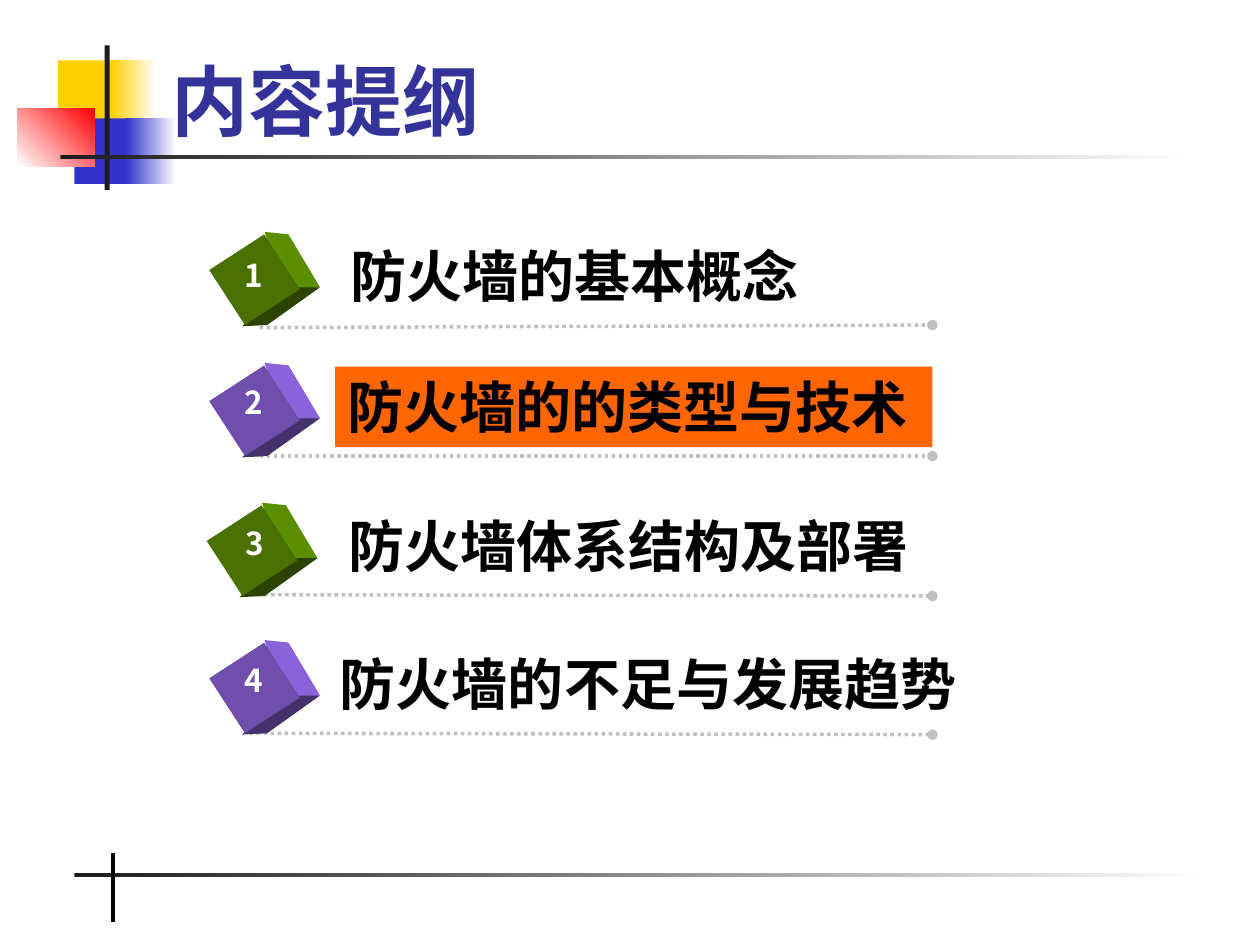
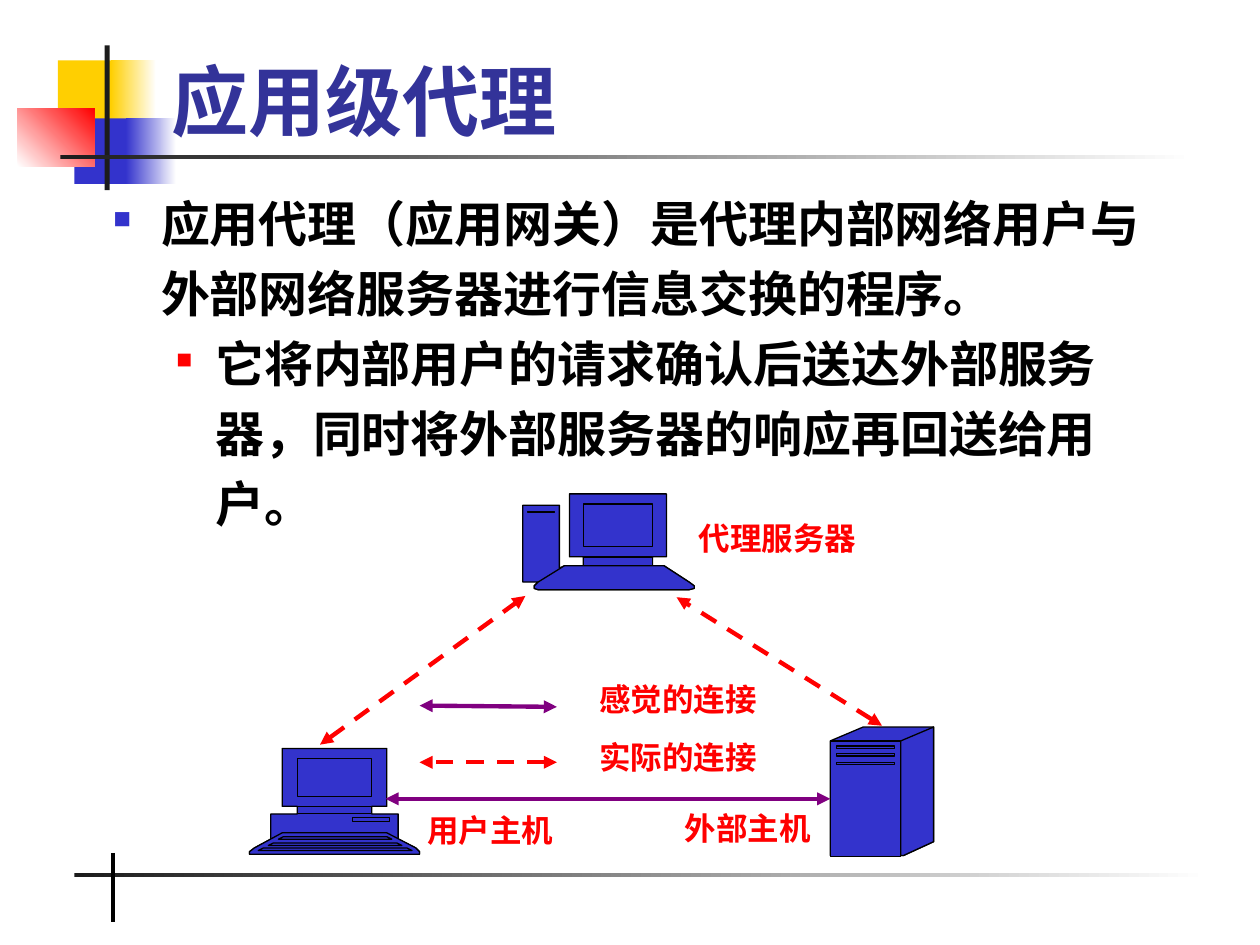
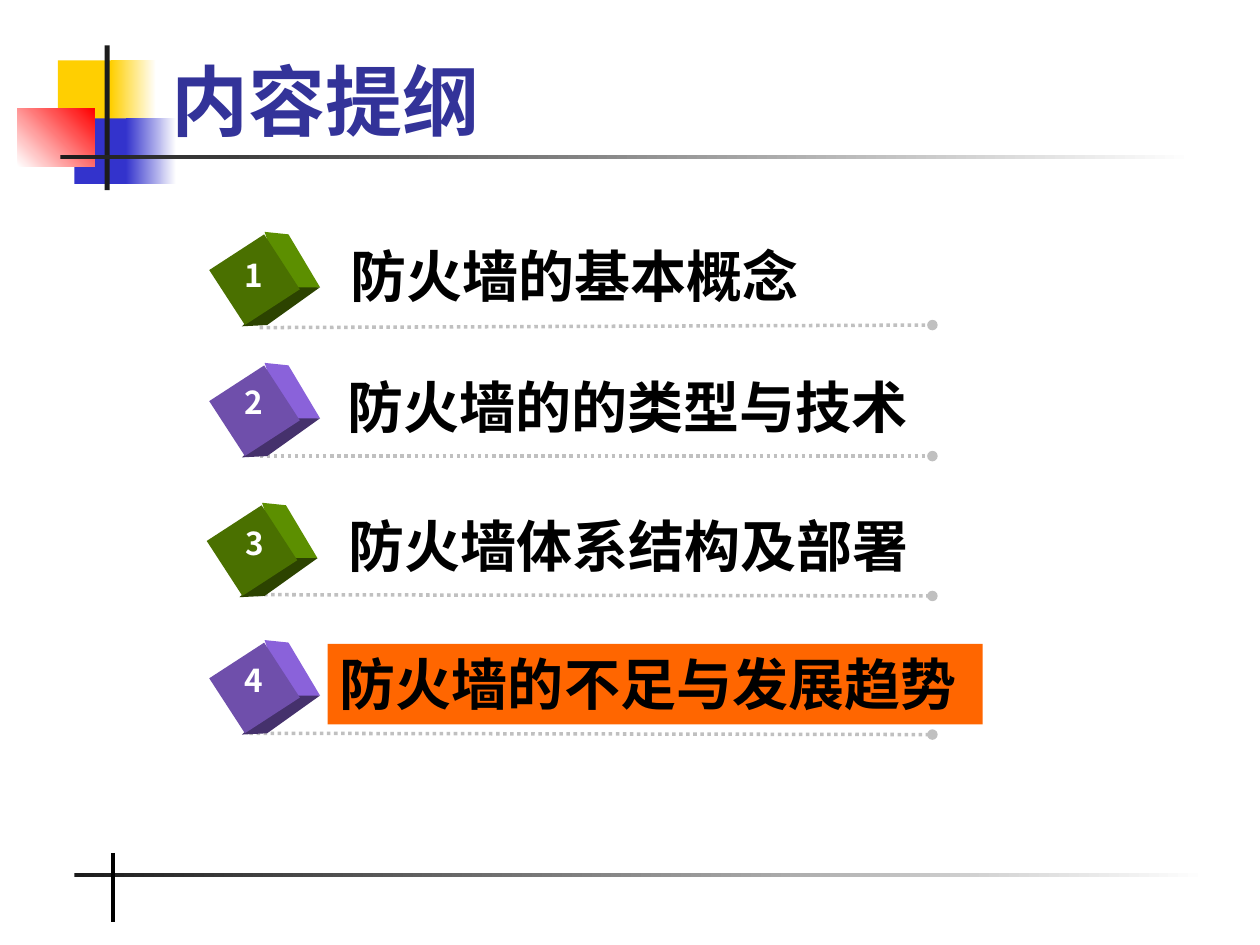
"""Firewall lecture: two outline slides and the application proxy diagram."""
from dataclasses import dataclass

from lxml import etree
from pptx import Presentation
from pptx.dml.color import RGBColor
from pptx.enum.dml import MSO_LINE
from pptx.enum.shapes import MSO_CONNECTOR, MSO_SHAPE
from pptx.enum.text import MSO_ANCHOR, PP_ALIGN
from pptx.oxml.ns import qn
from pptx.util import Inches, Pt

RECT = MSO_SHAPE.RECTANGLE
STRAIGHT = MSO_CONNECTOR.STRAIGHT
DOTS, DASH = MSO_LINE.ROUND_DOT, MSO_LINE.DASH
TOP, BOTTOM = MSO_ANCHOR.TOP, MSO_ANCHOR.BOTTOM
LEFT, CENTER = PP_ALIGN.LEFT, PP_ALIGN.CENTER
LEFT_SIDE = 1


@dataclass(frozen=True)
class Theme:
    """Colours, fonts and type sizes of the deck."""
    white: str = "FFFFFF"
    black: str = "000000"
    ink: str = "1C1C1C"
    yellow: str = "FFCF01"
    blue: str = "3333CC"
    red: str = "FF0000"
    purple: str = "800080"
    title: str = "333399"
    highlight: str = "FF6600"
    dots: str = "C0C0C0"
    green_cube: tuple = ("4A7000", "5C8F00", "2C4300")
    violet_cube: tuple = ("6F4FAB", "8A62DA", "45316C")
    cjk: str = "Noto Sans CJK SC"
    serif: str = "Times New Roman"
    label: str = "Karla"
    title_size: int = 44
    item_size: int = 32
    body_size: int = 28
    small_size: int = 18
    body_leading: int = 40


T = Theme()


def rgb(value):
    """Turn a hex string into a colour."""
    return RGBColor.from_string(value)


def child(parent, tag, **attrs):
    """Append an XML element with the given attributes."""
    element = etree.SubElement(parent, qn(tag))
    for key, value in attrs.items():
        element.set(key, str(value))
    return element


def add_run(p, text, size=T.small_size, font=T.cjk, color=T.black, bold=True):
    """Add a formatted run to a paragraph."""
    r = p.add_run()
    r.text = text
    r.font.size, r.font.name, r.font.bold = Pt(size), font, bold
    r.font.color.rgb = rgb(color)
    child(r.font._element, "a:ea", typeface=T.cjk)


class Deck:
    """Holds the presentation, its style and the current slide."""

    def __init__(self):
        """Start an empty 4:3 presentation."""
        self.prs = Presentation()
        self.prs.slide_width, self.prs.slide_height = Inches(10), Inches(7.5)
        self.s = None

    def paint(self, sp, fill, outline=None):
        """Set fill and outline of a shape; a colour pair makes a gradient."""
        sp.shadow.inherit = False
        if isinstance(fill, tuple):
            sp.fill.gradient()
            for stop, color in zip(sp.fill.gradient_stops, fill):
                stop.color.rgb = rgb(color)
        else:
            sp.fill.solid()
            sp.fill.fore_color.rgb = rgb(fill)
        if outline:
            sp.line.color.rgb = rgb(outline)
            sp.line.width = Pt(0.75)
        else:
            sp.line.fill.background()
        return sp

    def rect(self, x, y, w, h, fill, outline=None, angle=0, rotation=0):
        """Draw a rectangle."""
        sp = self.s.shapes.add_shape(RECT, Inches(x), Inches(y), Inches(w), Inches(h))
        self.paint(sp, fill, outline)
        if isinstance(fill, tuple):
            sp.fill.gradient_angle = angle
        sp.rotation = rotation
        return sp

    def polygon(self, points, fill, outline=None):
        """Draw a closed outline through the points."""
        start, *rest = [(Inches(x), Inches(y)) for x, y in points]
        fb = self.s.shapes.build_freeform(*start)
        fb.add_line_segments(rest, close=True)
        return self.paint(fb.convert_to_shape(), fill, outline)

    def line(self, start, end, color, width, dash=None, head=None, tail=None):
        """Draw a straight connector with optional line ends."""
        ends = [Inches(v) for v in (*start, *end)]
        cx = self.s.shapes.add_connector(STRAIGHT, *ends)
        cx.line.color.rgb, cx.line.width = rgb(color), Pt(width)
        if dash:
            cx.line.dash_style = dash
        ln = cx.line._get_or_add_ln()
        for tag, kind in (("a:headEnd", head), ("a:tailEnd", tail)):
            if kind:
                child(ln, tag, type=kind)
        child(cx._element.spPr, "a:effectLst")
        return cx

    def arrow(self, start, end, color, dash=None):
        """Draw a two-headed connection."""
        return self.line(start, end, color, 2.5, dash, "triangle", "triangle")

    def box(self, x, y, w, h, wrap=True, anchor=TOP, fill=None):
        """Add an empty text box and return its text frame."""
        sp = self.s.shapes.add_textbox(Inches(x), Inches(y), Inches(w), Inches(h))
        if fill:
            self.paint(sp, fill)
        tf = sp.text_frame
        tf.word_wrap, tf.vertical_anchor = wrap, anchor
        return tf

    def text(self, text, at, align=LEFT, wrap=True, anchor=TOP, fill=None, **style):
        """Add a one-paragraph text box."""
        p = self.box(*at, wrap, anchor, fill).paragraphs[0]
        p.alignment = align
        add_run(p, text, **style)

    def bullets(self, at, items):
        """Add bulleted text from (text, level, margin, hang, colour, percent)."""
        tf = self.box(*at)
        for i, (text, level, margin, hang, color, percent) in enumerate(items):
            p = tf.add_paragraph() if i else tf.paragraphs[0]
            p.level, p.line_spacing = level, Pt(T.body_leading)
            pPr = p._p.get_or_add_pPr()
            pPr.set("marL", str(Inches(margin)))
            pPr.set("indent", str(-Inches(hang)))
            pPr.set("hangingPunct", "0")
            child(child(pPr, "a:buClr"), "a:srgbClr", val=color)
            child(pPr, "a:buSzPct", val=percent * 1000)
            child(pPr, "a:buChar", char="■")
            add_run(p, text, T.body_size, T.serif)

    def slide(self, title):
        """Start a slide with the shared ornament, rules and title."""
        self.s = self.prs.slides.add_slide(self.prs.slide_layouts[6])
        self.rect(0.46, 0.48, 0.48, 0.52, T.yellow)
        self.rect(0.88, 0.48, 0.36, 0.52, (T.yellow, T.white))
        self.rect(0.59, 0.94, 0.46, 0.52, T.blue)
        self.rect(1, 0.94, 0.4, 0.52, (T.blue, T.white))
        self.rect(0.14, 0.86, 0.61, 0.46, (T.white, T.red), angle=45)
        self.rect(0.83, 0.36, 0.04, 1.15, T.ink)
        for x, y in ((0.48, 1.23), (0.59, 6.93)):
            self.rect(x, y, 9, 0.03, (T.ink, T.white))
        self.line((0.9, 6.77), (0.9, 7.32), T.black, 2.25)
        self.text(title, (1.26, 0.16, 8.52, 1.05), anchor=BOTTOM,
                  size=T.title_size, font=T.serif, color=T.title)

    def cube(self, cx, cy, colors):
        """Draw a tilted cube around a centre: side, base, then front face."""
        w, h = 0.52, 0.52
        front, side, base = colors
        side_face = ((0.09, -0.38), (0.28, -0.36), (0.53, 0.06), (0.25, 0.1))
        base_face = ((0.25, 0.06), (0.53, 0.06), (0.11, 0.36), (-0.09, 0.37))
        for face, color in ((side_face, side), (base_face, base)):
            self.polygon([(cx + dx, cy + dy) for dx, dy in face], color)
        self.rect(cx - w / 2 + 0.01, cy - h / 2, w, h, front, rotation=57)

    def outline_slide(self, current):
        """Build the outline with one highlighted item."""
        self.slide("内容提纲")
        for number, item in enumerate(OUTLINE, 1):
            text, text_at, cube_at, number_at, start, end_y = item
            self.line(start, (7.4, end_y), T.dots, 2, DOTS, tail="oval")
            self.cube(*cube_at, T.green_cube if number % 2 else T.violet_cube)
            self.text(str(number), (*number_at, 0.33, 0.4), CENTER, wrap=False,
                      color=T.white)
            self.text(text, text_at, size=T.item_size,
                      fill=T.highlight if number == current else None)

    def hardware(self, parts):
        """Draw parts from points or boxes and return the last one."""
        for part in parts:
            if isinstance(part[0], tuple):
                sp = self.polygon(part, T.blue, T.black)
            else:
                sp = self.rect(*part, T.blue, T.black)
        return sp

    def proxy_slide(self):
        """Build the application proxy slide."""
        self.slide("应用级代理")
        self.bullets((0.8, 1.4, 8.5, 4.5), PROXY_TEXT)
        for parts in (PROXY_PC, USER_PC, HOST_TOWER):
            tower = self.hardware(parts)
        self.hardware(HOST_SLOTS)
        self.arrow((2.54, 5.91), (4.17, 4.73), T.red, DASH)
        self.arrow((7, 5.76), (5.37, 4.74), T.red, DASH)
        felt = self.arrow((6.59, 6.34), (3.06, 6.34), T.purple)
        felt.begin_connect(tower, LEFT_SIDE)
        self.arrow((4.42, 5.61), (3.33, 5.6), T.purple)
        self.arrow((4.42, 6.05), (3.33, 6.05), T.red, DASH)
        for text, x, y, w in PROXY_LABELS:
            self.text(text, (x, y, w, 0.51), CENTER, font=T.label, color=T.red)


OUTLINE = (
    ("防火墙的基本概念", (2.68, 1.87, 4.73, 0.63), (2.01, 2.22), (1.84, 1.98),
     (2.06, 2.6), 2.58),
    ("防火墙的的类型与技术", (2.66, 2.91, 4.74, 0.64), (2.01, 3.26), (1.84, 2.99),
     (2.06, 3.62), 3.62),
    ("防火墙体系结构及部署", (2.67, 4.01, 4.88, 0.64), (1.99, 4.37), (1.85, 4.11),
     (2.04, 4.72), 4.73),
    ("防火墙的不足与发展趋势", (2.6, 5.11, 5.2, 0.64), (2.01, 5.46), (1.84, 5.2),
     (1.98, 5.82), 5.83),
)

PROXY_TEXT = (
    ("应用代理（应用网关）是代理内部网络用户与外部网络服务器进行信息交换的程序。",
     0, 0.38, 0.38, T.blue, 50),
    ("它将内部用户的请求确认后送达外部服务器，同时将外部服务器的响应再回送给用户。",
     1, 0.81, 0.31, T.red, 45),
)

PROXY_LABELS = (
    ("用户主机", 3.2, 6.39, 1.38),
    ("代理服务器", 5.21, 4.07, 1.92),
    ("感觉的连接", 4.42, 5.35, 1.92),
    ("实际的连接", 4.42, 5.81, 1.92),
    ("外部主机", 5.12, 6.37, 1.63),
)

PROXY_KEYBOARD = (
    (5.27, 4.49), (5.47, 4.62), (5.51, 4.65), (5.51, 4.67), (5.47, 4.68),
    (4.27, 4.68), (4.24, 4.67), (4.24, 4.65), (4.27, 4.62),
)
PROXY_PC = (
    (*PROXY_KEYBOARD, (4.15, 4.62), (4.15, 4.01), (4.44, 4.01), (4.44, 4.51),
     (4.48, 4.49), (4.63, 4.49), (4.63, 4.42), (4.52, 4.42), (4.52, 3.92),
     (5.29, 3.92), (5.29, 4.42), (5.18, 4.42), (5.18, 4.49)),
    (*PROXY_KEYBOARD, (4.48, 4.49)),
    (4.63, 4.42, 0.55, 0.07),
    (4.63, 4, 0.55, 0.34),
    (4.19, 4.06, 0.21, 0.01),
)

USER_KEYBOARD = (
    (3.3, 6.73), (3.33, 6.76), (3.33, 6.78), (3.29, 6.78),
    (2.02, 6.78), (1.98, 6.78), (1.98, 6.76), (2.02, 6.73),
)
USER_PC = (
    (*USER_KEYBOARD, (2.15, 6.66), (2.15, 6.46), (2.36, 6.46), (2.36, 6.4),
     (2.24, 6.4), (2.24, 5.94), (3.07, 5.94), (3.07, 6.4), (2.95, 6.4),
     (2.95, 6.46), (3.16, 6.46), (3.16, 6.66)),
    (2.36, 6.4, 0.59, 0.06),
    (2.36, 6.02, 0.59, 0.3),
    (2.8, 6.49, 0.29, 0.03),
    (*USER_KEYBOARD, (2.24, 6.61), (3.07, 6.61)),
    *(((x, y), (5.32 - x, y), (5.36 - x, y + 0.02), (x - 0.04, y + 0.02))
      for x, y in ((2.25, 6.64), (2.17, 6.69), (2.09, 6.73))),
)

HOST_TOWER = (
    ((6.59, 5.88), (6.85, 5.77), (7.41, 5.77), (7.41, 6.68), (7.17, 6.79),
     (6.59, 6.79)),
    ((7.15, 5.88), (7.41, 5.77), (7.41, 6.68), (7.17, 6.79), (7.15, 6.79)),
    (6.59, 5.88, 0.56, 0.92),
)
HOST_SLOTS = tuple((6.64, y, 0.46, 0.02) for y in (5.92, 5.98, 6.05))


def main():
    """Build and save the deck."""
    deck = Deck()
    deck.outline_slide(current=2)
    deck.proxy_slide()
    deck.outline_slide(current=4)
    deck.prs.save("out.pptx")


if __name__ == "__main__":
    main()
